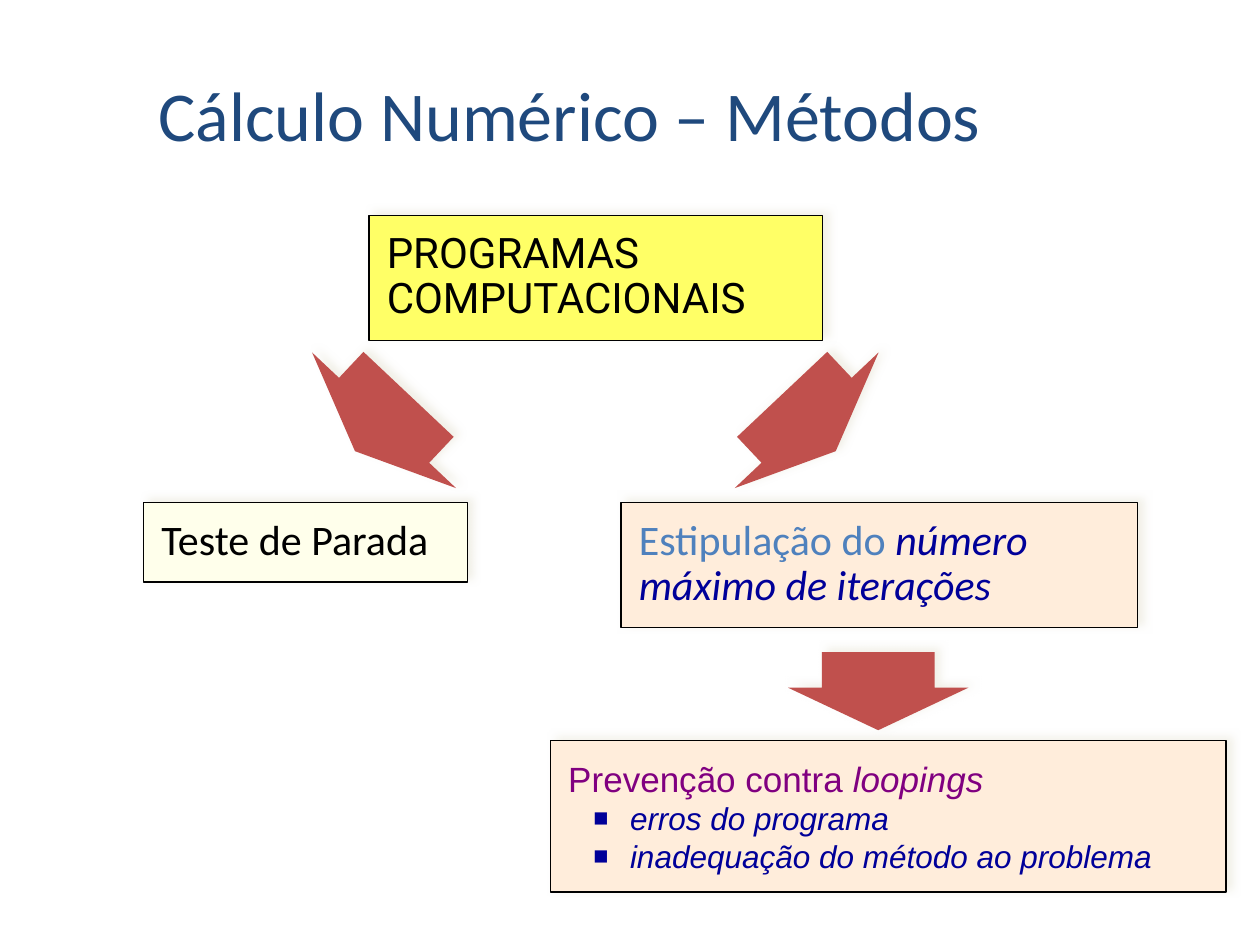
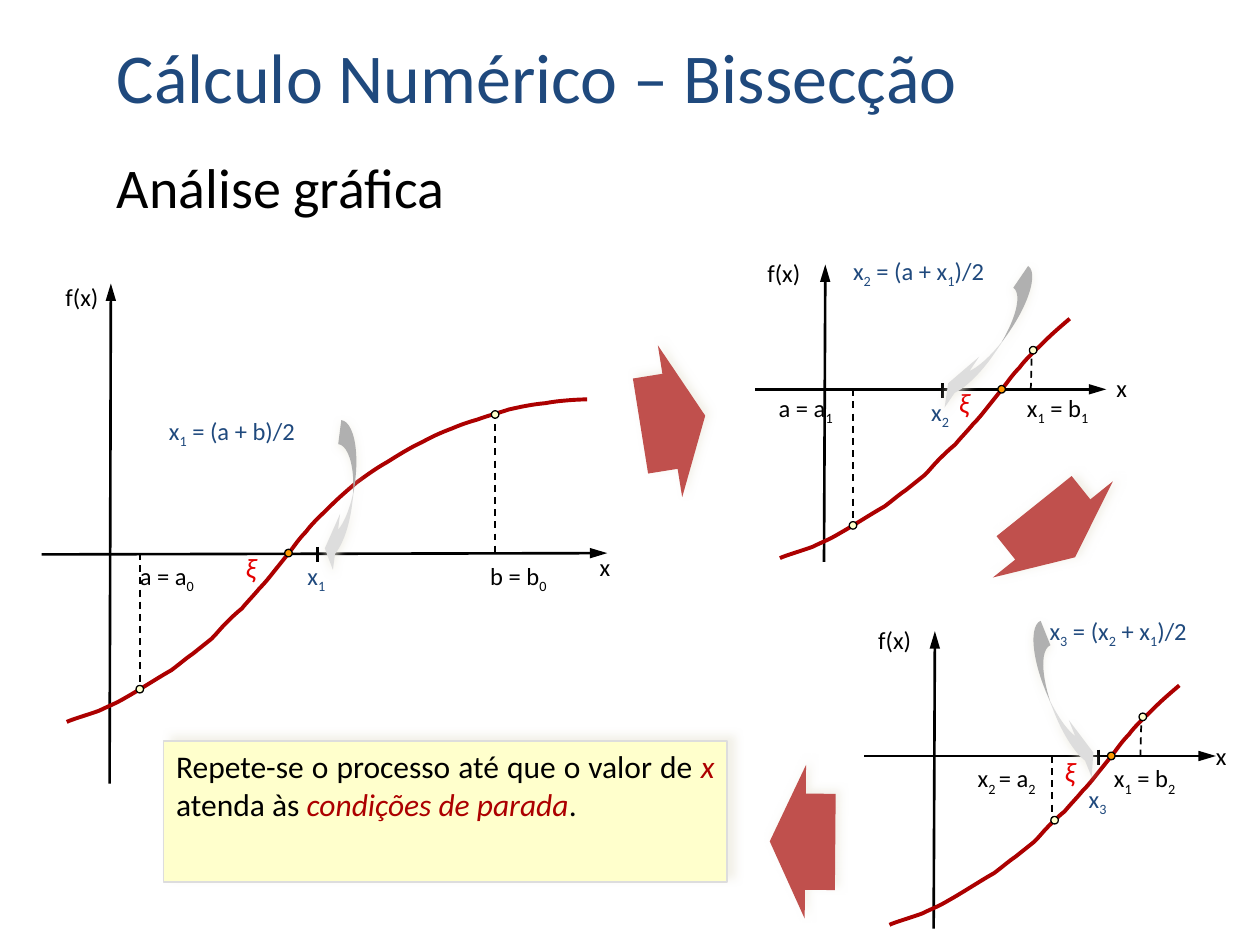
from lxml.etree import SubElement
from pptx import Presentation
from pptx.dml.color import RGBColor
from pptx.enum.dml import MSO_LINE
from pptx.enum.shapes import MSO_CONNECTOR, MSO_SHAPE
from pptx.enum.text import MSO_ANCHOR, PP_ALIGN
from pptx.oxml.ns import qn
from pptx.util import Inches, Pt

BLACK, NAVY, BLUE, RED = "000000", "1F497D", "000099", "AC0000"
BRICK, CREAM, PEACH, SILVER = "C0504D", "FFFFCC", "FFEDDB", "DDDDDD"
TITLE = {"name": "Calibri", "size": Pt(40), "color": NAVY}
HEAD = {"name": "Calibri", "size": Pt(32), "color": BLACK}
LABEL = {"name": "Calibri", "size": Pt(14), "color": BLACK}
STEP = {**LABEL, "color": NAVY}
NOTE = {"name": "Calibri", "size": Pt(18), "color": BLACK}
BODY = {"name": "Calibri", "size": Pt(24), "color": BLACK}
LOOP = {"name": "Arial", "size": Pt(20), "color": "800080"}
ITEM = {"name": "Arial", "size": Pt(18), "color": BLUE, "italic": True}
ROOT = {"name": "Calibri", "size": Pt(16), "color": "E40000", "italic": True}
STRESS = {"color": RED, "italic": True}
INSET = (0.14, 0.13)
CURVE = [
    (0, 0), (0.04, -0.02), (0.18, -0.06), (0.26, -0.09),
    (0.34, -0.13), (0.38, -0.14), (0.48, -0.2), (0.57, -0.25),
    (0.74, -0.36), (0.83, -0.41), (0.91, -0.47), (0.94, -0.5),
    (1, -0.54), (1.05, -0.58), (1.1, -0.62), (1.15, -0.66),
    (1.19, -0.7), (1.22, -0.74), (1.26, -0.78), (1.3, -0.82),
    (1.34, -0.86), (1.39, -0.9), (1.43, -0.95), (1.49, -1.01),
    (1.53, -1.06), (1.58, -1.11), (1.61, -1.15), (1.65, -1.2),
    (1.69, -1.25), (1.73, -1.3), (1.77, -1.35), (1.81, -1.4),
    (1.84, -1.45), (1.9, -1.51), (1.95, -1.58), (2.03, -1.65),
    (2.1, -1.72), (2.16, -1.78), (2.23, -1.84), (2.3, -1.9),
    (2.37, -1.95), (2.45, -2.01), (2.54, -2.06), (2.62, -2.11),
    (2.73, -2.18), (2.82, -2.22), (2.91, -2.27), (2.98, -2.3),
    (3.06, -2.33), (3.13, -2.36), (3.19, -2.38), (3.26, -2.4),
    (3.34, -2.43), (3.42, -2.45), (3.51, -2.48), (3.6, -2.5),
    (3.69, -2.52), (3.8, -2.53), (3.9, -2.55), (4.06, -2.56),
    (4.13, -2.56),
]
SHORT = CURVE[:40]


def rgb(code):
    """Turn a hex string into a colour."""
    return RGBColor.from_string(code)


def style(font, form):
    """Apply a dict of format values to a font."""
    for key, value in form.items():
        if key == "color":
            font.color.rgb = rgb(value)
        else:
            setattr(font, key, value)


def write(para, runs, form):
    """Write runs, each a text and the changes to the base format."""
    for text, change in runs:
        run = para.add_run()
        run.text = text
        style(run.font, {**form, **change})


def indent(para, left, first):
    """Set the left and first-line indents and return the properties."""
    props = para._p.get_or_add_pPr()
    props.set("marL", str(Inches(left)))
    props.set("indent", str(Inches(first)))
    return props


def bullet(para):
    """Give a paragraph an indented square bullet."""
    props = indent(para, 0.49, -0.29)
    tint = SubElement(props, qn("a:buClr"))
    SubElement(tint, qn("a:srgbClr"), val=BLUE)
    SubElement(props, qn("a:buSzPct"), val="80000")
    SubElement(props, qn("a:buFont"), typeface="Arial")
    SubElement(props, qn("a:buChar"), char="■")


def inset(frame, side, top):
    """Set the inner margins and wrapping of a text frame."""
    sides, ends = Inches(side), Inches(top)
    values = {"margin_left": sides, "margin_right": sides, "margin_top": ends,
              "margin_bottom": ends, "word_wrap": True}
    for key, value in values.items():
        setattr(frame, key, value)


def words(slide, box, text, form):
    """Add a line of large text that sits on the foot of its box."""
    frame = slide.shapes.add_textbox(*map(Inches, box)).text_frame
    inset(frame, 0.1, 0.05)
    frame.vertical_anchor = MSO_ANCHOR.BOTTOM
    write(frame.paragraphs[0], [(text, {})], form)


def label(slide, spot, text, width, form=LABEL):
    """Add a plot label, where _ starts and ends a subscript."""
    box = (*spot, width, 0.23)
    frame = slide.shapes.add_textbox(*map(Inches, box)).text_frame
    inset(frame, 0, 0)
    para = frame.paragraphs[0]
    indent(para, 0.38, -0.38)
    for i, part in enumerate(text.split("_")):
        write(para, [(part, {})], form)
        if i % 2:
            para.runs[-1]._r.get_or_add_rPr().set("baseline", "-25000")


def shape(slide, kind, box, fill, line=None, shade=None, turn=0, flip=False,
          adjust=()):
    """Add a filled preset shape; shade is blur, distance and angle."""
    item = slide.shapes.add_shape(kind, *map(Inches, box))
    item.fill.solid()
    item.fill.fore_color.rgb = rgb(fill)
    if line:
        item.line.color.rgb = rgb(line)
        item.line.width = Pt(0.75)
    else:
        item.line.fill.background()
    item.rotation = turn
    for i, value in enumerate(adjust):
        item.adjustments[i] = value
    props = item._element.spPr
    if flip:
        props.find(qn("a:xfrm")).set("flipH", "1")
    item.shadow.inherit = False
    if shade:
        blur, gap, angle = shade
        cast = SubElement(
            props.find(qn("a:effectLst")), qn("a:outerShdw"),
            blurRad=str(Pt(blur)), dist=str(Pt(gap)), dir=str(angle * 60000),
            algn="ctr", rotWithShape="0")
        tint = SubElement(cast, qn("a:srgbClr"), val="EEECE1")
        SubElement(tint, qn("a:alpha"), val="75000")
    return item


def arrow(slide, box, turn, flip, shade=(5, 3.6, 326)):
    """Add a thick red block arrow."""
    shape(slide, MSO_SHAPE.RIGHT_ARROW, box, BRICK, None, shade, turn, flip,
          (0.626, 0.543))


def panel(slide, box, fill, paras, form, line=BLACK, shade=(5, 3.6, 326),
          pad=INSET, align=PP_ALIGN.LEFT, space=None):
    """Add a text panel and return its paragraphs."""
    frame = shape(slide, MSO_SHAPE.RECTANGLE, box, fill, line, shade).text_frame
    inset(frame, *pad)
    frame.vertical_anchor = MSO_ANCHOR.TOP
    for i, runs in enumerate(paras):
        para = frame.add_paragraph() if i else frame.paragraphs[0]
        para.alignment = align
        if space:
            para.line_spacing = space
        write(para, runs, form)
    return frame.paragraphs


def rule(slide, start, end, width=1.5, dash=False, head=False):
    """Draw a black line, dashed or with an arrowhead at its start."""
    item = slide.shapes.add_connector(
        MSO_CONNECTOR.STRAIGHT, *map(Inches, (*start, *end)))
    item.line.color.rgb = rgb(BLACK)
    item.line.width = Pt(width)
    if dash:
        item.line.dash_style = MSO_LINE.DASH
    props = item._element.spPr
    if head:
        SubElement(props.find(qn("a:ln")), qn("a:headEnd"), type="triangle",
                   w="med", len="lg")
    SubElement(props, qn("a:effectLst"))


def bend(slide, points):
    """Draw a red Bezier curve from a start and triples of points."""
    first, *rest = [tuple(map(Inches, point)) for point in points]
    build = slide.shapes.build_freeform(*first)
    build.add_line_segments(rest, close=False)
    curve = build.convert_to_shape()
    curve.fill.background()
    curve.line.color.rgb = rgb(RED)
    curve.line.width = Pt(2.25)
    curve.shadow.inherit = False
    trace = next(curve._element.iter(qn("a:path")))
    steps = list(trace)[1:]
    for i in range(0, len(steps), 3):
        cubic = SubElement(trace, qn("a:cubicBezTo"))
        for step in steps[i:i + 3]:
            cubic.append(step[0])
            trace.remove(step)


def plot(slide, left, base, knots, stem, floor, drops, mid):
    """Draw axes, curve, end points, root and midpoint of one step."""
    def at(point):
        """Shift a point from the start of the curve to the slide."""
        return left + point[0], base + point[1]

    def dot(point, fill):
        """Mark a point on the curve."""
        x, y = at(point)
        shape(slide, MSO_SHAPE.OVAL, (x - 0.03, y - 0.03, 0.06, 0.06),
              fill, BLACK)

    for start, end in (stem, floor):
        rule(slide, at(start), at(end), head=True)
    bend(slide, map(at, knots))
    for _, start, end in drops:
        rule(slide, at(start), at(end), 1, dash=True)
    dot(drops[0][0], CREAM)
    dot((1.76, -1.34), "FF9900")
    dot(drops[1][0], CREAM)
    rule(slide, at((mid, -1.39)), at((mid, -1.27)))


def methods(slide):
    """Fill the slide on computer programs."""
    words(slide, (1.16, 0.58, 8.52, 0.7), "Cálculo Numérico – Métodos", TITLE)
    arrow(slide, (2.72, 2.57, 0.62, 1.57), 133.3, False)
    arrow(slide, (6.66, 4.77, 0.62, 1.43), 90, False)
    panel(slide, (2.93, 1.71, 3.6, 0.99), "FFFF66",
          [[("PROGRAMAS COMPUTACIONAIS", {"name": "Roboto"})]], BODY, space=0.9)
    panel(slide, (1.14, 3.99, 2.57, 0.63), "FFFFEB",
          [[("Teste de Parada", {})]], BODY, space=0.9)
    arrow(slide, (6.11, 2.57, 0.62, 1.57), 226.7, True)
    panel(slide, (4.93, 3.99, 4.1, 0.99), PEACH,
          [[("Estipulação do ", {"color": "4F81BD"}),
            ("número máximo de iterações", {"color": BLUE, "italic": True})]],
          BODY, space=0.9)
    paras = panel(slide, (4.37, 5.88, 5.36, 1.2), PEACH,
                  [[("Prevenção contra ", {}), ("loopings", {"italic": True})],
                   [("erros do programa", ITEM)],
                   [("inadequação do método ao problema", ITEM)]],
                  LOOP, align=PP_ALIGN.JUSTIFY)
    for para in paras[1:]:
        bullet(para)


def halving(slide):
    """Fill the slide on the steps of bisection."""
    words(slide, (0.83, 0.28, 8.52, 0.7), "Cálculo Numérico – Bissecção", TITLE)
    words(slide, (0.83, 1.15, 8.52, 0.64), "Análise gráfica", HEAD)
    stem = (0.36, -2.33), (0.35, 0.03)
    floor = (2.59, -1.34), (-0.2, -1.34)
    fall = (0.58, -0.26), (0.58, -1.34), (0.58, -0.25)
    rise = (2.01, -1.65), (2, -1.68), (1.99, -1.3)
    plot(slide, 0.53, 5.73, CURVE, ((0.35, -3.48), (0.34, 0.49)),
         ((4.29, -1.34), (-0.2, -1.33)),
         (fall, ((3.4, -2.44), (3.4, -2.46), (3.4, -1.34))), 1.99)
    plot(slide, 6.19, 4.43, SHORT, stem, floor, (fall, rise), 1.29)
    plot(slide, 7.06, 7.34, SHORT, stem, floor,
         (((1.31, -0.83), (1.29, -1.34), (1.29, -0.82)), rise), 1.66)
    for form, width, text, spots in [
            (LABEL, 0.3, "f(x)", [(0.52, 2.24), (6.09, 2.05), (6.97, 4.96)]),
            (LABEL, 0.16, "x", [(4.76, 4.38), (8.86, 2.96), (9.65, 5.88)]),
            (ROOT, 0.16, "ξ", [(1.95, 4.37), (7.61, 3.06), (8.45, 5.99)]),
            (LABEL, 0.61, "a = a_0", [(1.11, 4.45)]),
            (LABEL, 0.61, "b = b_0", [(3.89, 4.45)]),
            (LABEL, 0.61, "a = a_1", [(6.18, 3.12)]),
            (LABEL, 0.61, "x_1_ = b_1", [(8.15, 3.12)]),
            (LABEL, 0.58, "x_2 _= a_2", [(7.76, 6.06)]),
            (LABEL, 0.61, "x_1_ = b_2", [(8.84, 6.06)]),
            (STEP, 1.41, "x_1_ = (a + b)/2", [(1.34, 3.3)]),
            (STEP, 1.32, "x_2_ = (a + x_1_)/2", [(6.77, 2.03)]),
            (STEP, 1.32, "x_3_ = (x_2_ + x_1_)/2", [(8.33, 4.89)]),
            (STEP, 0.18, "x_1", [(2.44, 4.45)]),
            (STEP, 0.18, "x_2", [(7.39, 3.15)]),
            (STEP, 0.18, "x_3", [(8.64, 6.22)])]:
        for spot in spots:
            label(slide, spot, text, width, form)
    for box, turn, flip, adjust in [
            ((2.63, 3.34, 0.17, 1.25), 7.3, True, (1.126, 2.63, 0.5)),
            ((7.76, 2.04, 0.17, 1.37), 34.3, True, (1.229, 2.87, 0.5)),
            ((8.35, 4.91, 0.17, 1.37), 338.2, False, (1.229, 2.87, 0.5))]:
        shape(slide, MSO_SHAPE.CURVED_RIGHT_ARROW, box, SILVER, None,
              (5, 2.1, 90), turn, flip, adjust)
    for x, y, turn, shade in [
            (5.08, 2.73, 170.9, (5, 2.9, 317)),
            (8.11, 3.61, 231.3, (5, 3.2, 342)),
            (6.11, 6.07, 0.5, (5, 2.9, 317))]:
        arrow(slide, (x, y, 0.52, 1.22), turn, True, shade)
    panel(slide, (1.3, 5.88, 4.47, 1.12), CREAM,
          [[("Repete-se o processo até que o valor de ", {}), ("x", STRESS),
            (" atenda às ", {}), ("condições de parada", STRESS), (".", {})]],
          NOTE, SILVER, (5, 5, 323), (0.1, 0.05), PP_ALIGN.JUSTIFY)


def main():
    """Build both slides and save the deck."""
    deck = Presentation()
    deck.slide_width, deck.slide_height = Inches(10), Inches(7.5)
    for fill in (methods, halving):
        fill(deck.slides.add_slide(deck.slide_layouts[6]))
    deck.save("out.pptx")


if __name__ == "__main__":
    main()
